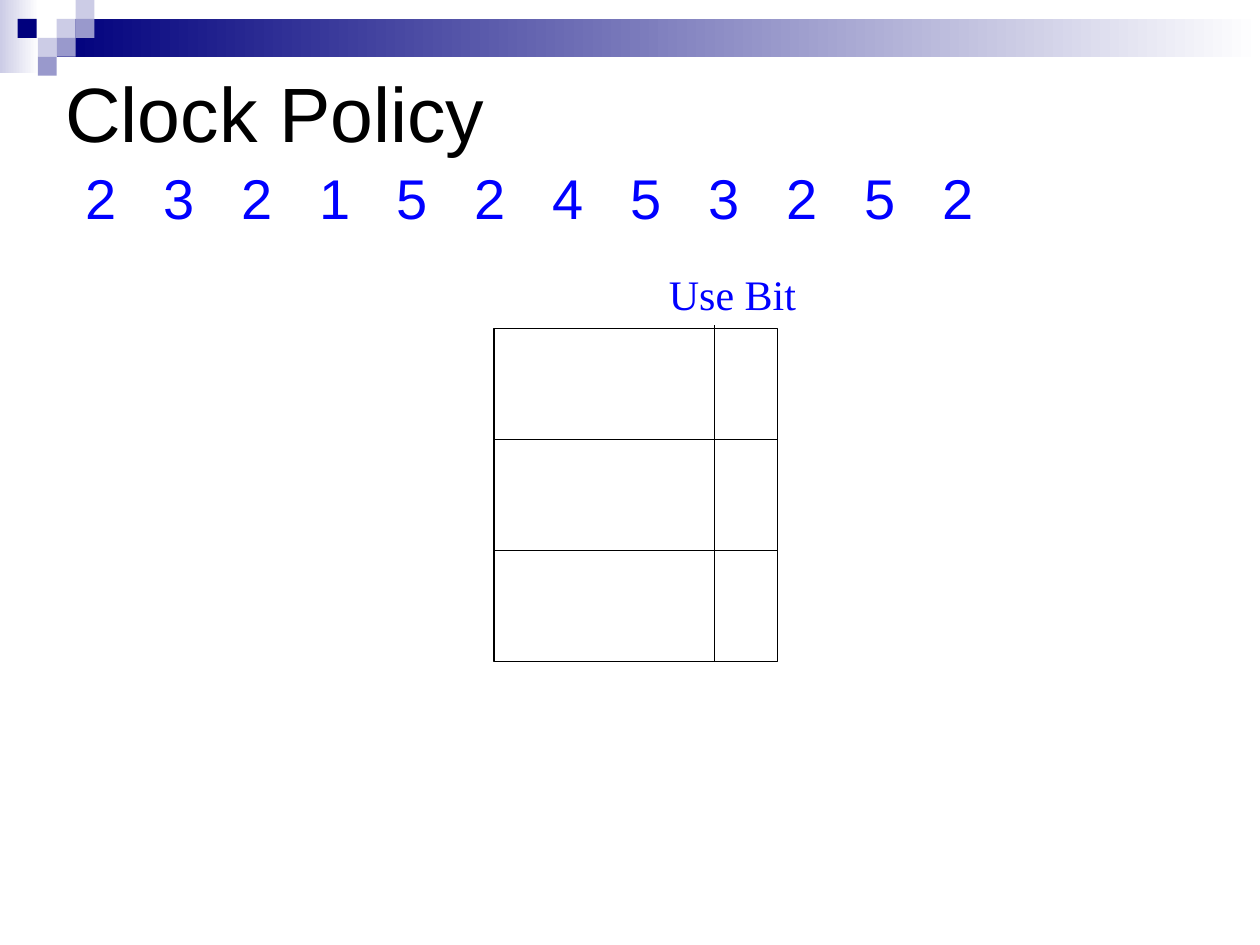
from dataclasses import dataclass

from pptx import Presentation as Deck
from pptx.dml.color import RGBColor as Rgb
from pptx.enum.shapes import MSO_CONNECTOR as Link, MSO_SHAPE as Kind
from pptx.enum.text import MSO_ANCHOR as Anchor
from pptx.oxml.ns import qn
from pptx.util import Inches, Pt
from lxml.etree import SubElement as Sub


@dataclass(frozen=True)
class Theme:
    navy: str = "00007D"
    mid: str = "9999CC"
    pale: str = "CCCCE6"
    white: str = "FFFFFF"
    ink: str = "000000"
    blue: str = "0000FF"
    sans: str = "Arial"
    serif: str = "Times New Roman"
    title: int = 44
    body: int = 32
    label: int = 24
    rule: float = 0.75


def write(frame, text, size, font, color, anchor=Anchor.TOP, wrap=True, step=None):
    frame.word_wrap = wrap
    frame.vertical_anchor = anchor
    para = frame.paragraphs[0]
    if step:
        stops = Sub(para._p.get_or_add_pPr(), qn("a:tabLst"))
        for i in range(1, text.count("\t") + 1):
            Sub(stops, qn("a:tab"), pos=str(Pt(step * i)), algn="l")
    run = para.add_run()
    run.text = text
    run.font.size = Pt(size)
    run.font.name = font
    run.font.color.rgb = Rgb.from_string(color)


class Page:
    def __init__(self, slide, theme):
        self.slide = slide
        self.theme = theme

    def rect(self, x, y, w, h, fill=None, fade=None, line=None):
        box = self.slide.shapes.add_shape(
            Kind.RECTANGLE, Inches(x), Inches(y), Inches(w), Inches(h))
        box.shadow.inherit = False
        if fade:
            box.fill.gradient()
            box.fill.gradient_angle = 0
            for stop, color, pos in zip(box.fill.gradient_stops, fade, (0, 1)):
                stop.color.rgb = Rgb.from_string(color)
                stop.position = pos
        elif fill:
            box.fill.solid()
            box.fill.fore_color.rgb = Rgb.from_string(fill)
        else:
            box.fill.background()
        if line:
            self.stroke(box, line)
        else:
            box.line.fill.background()

    def stroke(self, item, color):
        item.line.color.rgb = Rgb.from_string(color)
        item.line.width = Pt(self.theme.rule)

    def rule(self, x1, y1, x2, y2, color):
        line = self.slide.shapes.add_connector(
            Link.STRAIGHT, Inches(x1), Inches(y1), Inches(x2), Inches(y2))
        self.stroke(line, color)
        Sub(line._element.spPr, qn("a:effectLst"))

    def text(self, x, y, w, h, words, **style):
        box = self.slide.shapes.add_textbox(
            Inches(x), Inches(y), Inches(w), Inches(h))
        write(box.text_frame, words, **style)


def main():
    deck = Deck()
    deck.slide_width, deck.slide_height = Inches(10), Inches(7.5)
    look = Theme()
    page = Page(deck.slides.add_slide(deck.slide_layouts[6]), look)

    page.rect(0, 0, 0.31, 0.58, fade=(look.pale, look.white))
    page.rect(0.45, 0.15, 9.55, 0.3, fade=(look.navy, look.white))
    tile = 0.15
    tiles = [
        (0.45, 0.15, look.pale), (0.6, 0, look.pale), (0.6, 0.15, look.mid),
        (0.3, 0.3, look.pale), (0.14, 0.15, look.navy),
        (0.45, 0.3, look.mid), (0.3, 0.45, look.mid),
    ]
    for x, y, color in tiles:
        page.rect(x, y, tile, tile, fill=color)

    page.text(0.42, 0.14, 9, 1.5, "Clock Policy", size=look.title,
              font=look.sans, color=look.ink, anchor=Anchor.MIDDLE)
    pages = (2, 3, 2, 1, 5, 2, 4, 5, 3, 2, 5, 2)
    page.text(0.58, 1.25, 9.42, 0.63, "\t".join(map(str, pages)),
              size=look.body, font=look.sans, color=look.blue, step=44.5)

    left, top, wide, high = 3.92, 2.61, 2.25, 0.88
    for row in range(3):
        page.rect(left, top + row * high, wide, high, line=look.ink)
    page.rule(5.67, 2.58, 5.67, top + 3 * high, look.ink)
    page.text(5.21, 2.08, 1.21, 0.5, "Use Bit", size=look.label,
              font=look.serif, color=look.blue, wrap=False)

    deck.save("out.pptx")


if __name__ == "__main__":
    main()
